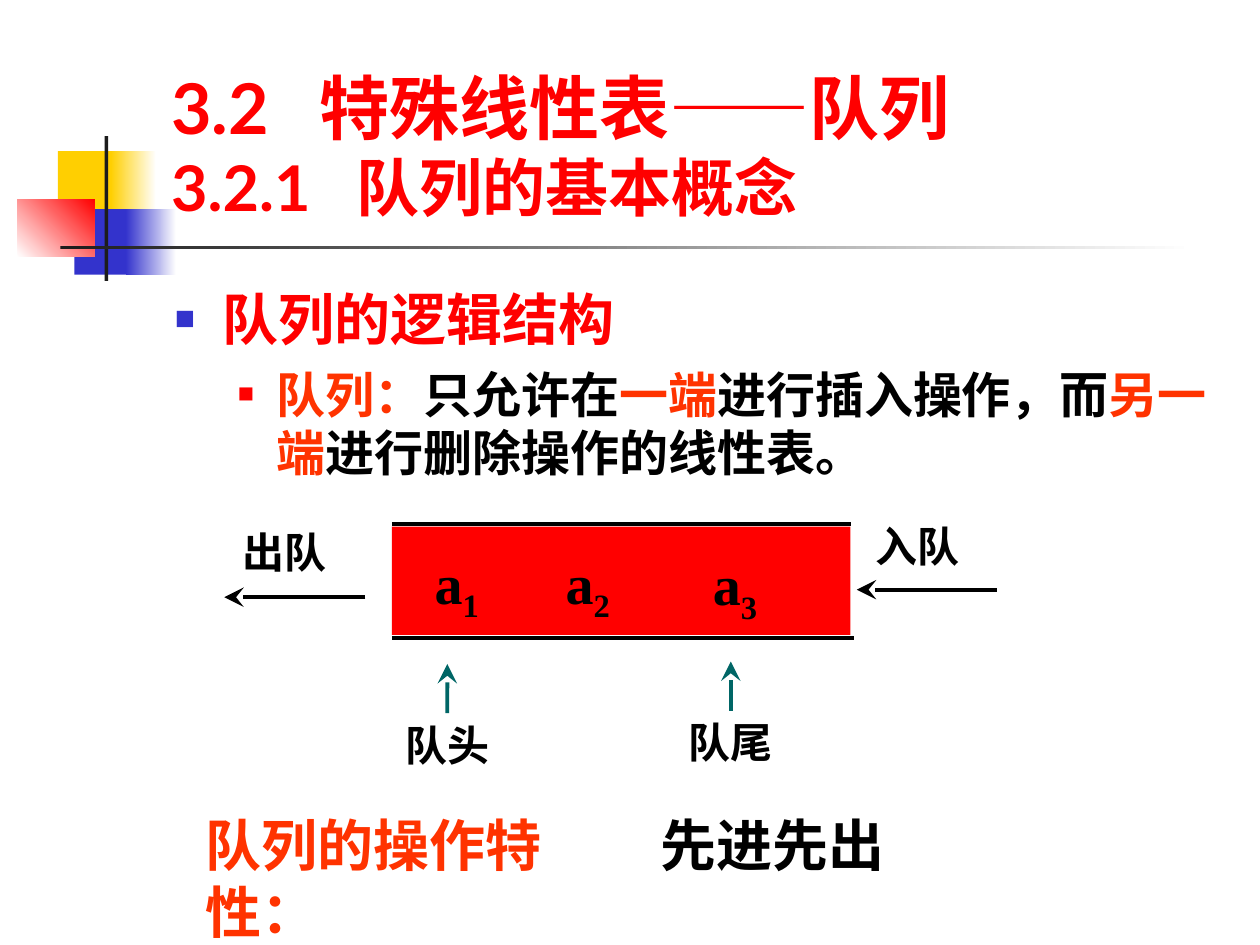
"""Build the slide on the basic concept of a queue."""
import pptx
import pptx.dml.color
import pptx.enum.shapes
import pptx.enum.text
import pptx.oxml
import pptx.oxml.ns
import pptx.util

Inches = pptx.util.Inches
Pt = pptx.util.Pt
RGBColor = pptx.dml.color.RGBColor
ANCHOR = pptx.enum.text.MSO_ANCHOR
ALIGN = pptx.enum.text.PP_ALIGN

RED = RGBColor(0xFF, 0x00, 0x00)
ORANGE = RGBColor(0xFF, 0x33, 0x00)
YELLOW = RGBColor(0xFF, 0xCF, 0x01)
BLUE = RGBColor(0x33, 0x33, 0xCC)
TEAL = RGBColor(0x00, 0x66, 0x66)
CHARCOAL = RGBColor(0x1C, 0x1C, 0x1C)
BLACK = RGBColor(0x00, 0x00, 0x00)
WHITE = RGBColor(0xFF, 0xFF, 0xFF)

SERIF = "Times New Roman"
NS = pptx.oxml.ns.nsdecls("a")


def add_block(slide, left, top, width, height, *colors, angle=0):
    """Add a rectangle with a solid fill or a two-colour gradient."""
    block = slide.shapes.add_shape(
        pptx.enum.shapes.MSO_SHAPE.RECTANGLE,
        Inches(left), Inches(top), Inches(width), Inches(height))
    block.shadow.inherit = False
    block.line.fill.background()
    if len(colors) == 1:
        block.fill.solid()
        block.fill.fore_color.rgb = colors[0]
    else:
        block.fill.gradient()
        block.fill.gradient_angle = angle
        for stop, color, position in zip(block.fill.gradient_stops, colors, (0, 1)):
            stop.color.rgb = color
            stop.position = position


def add_line(slide, start, end, color=BLACK, arrow=False):
    """Add a straight line, with a stealth arrowhead at its end if asked."""
    line = slide.shapes.add_connector(
        pptx.enum.shapes.MSO_CONNECTOR.STRAIGHT,
        *(Inches(value) for value in (*start, *end)))
    line.line.color.rgb = color
    line.line.width = Pt(2.25)
    if arrow:
        line.line._get_or_add_ln().append(pptx.oxml.parse_xml(
            f'<a:tailEnd {NS} type="stealth" w="lg" len="lg"/>'))
    line._element.spPr.append(pptx.oxml.parse_xml(f"<a:effectLst {NS}/>"))
    return line


def add_text_box(slide, left, top, width, height, wrap=True, anchor=ANCHOR.TOP):
    """Add an empty text box."""
    box = slide.shapes.add_textbox(
        Inches(left), Inches(top), Inches(width), Inches(height))
    box.text_frame.word_wrap = wrap
    box.text_frame.vertical_anchor = anchor
    return box


def add_run(paragraph, text, size, color, font):
    """Add a bold run to a paragraph."""
    run = paragraph.add_run()
    run.text = text
    run.font.size = Pt(size)
    run.font.bold = True
    run.font.name = font
    run.font.color.rgb = color
    return run


def add_label(slide, left, top, width, height, text, size=24, color=BLACK,
              font=SERIF):
    """Add a one-run label whose punctuation stays inside its box."""
    label = add_text_box(slide, left, top, width, height)
    paragraph = label.text_frame.paragraphs[0]
    paragraph._p.get_or_add_pPr().set("hangingPunct", "0")
    add_run(paragraph, text, size, color, font)
    return label


def add_element(slide, left, top, index):
    """Add a queue element such as a with a subscript index."""
    element = add_text_box(slide, left, top, 0.55, 0.71, wrap=False)
    paragraph = element.text_frame.paragraphs[0]
    add_run(paragraph, "a", 32, BLACK, SERIF)
    subscript = add_run(paragraph, index, 32, BLACK, SERIF)
    subscript.font._element.set("baseline", "-25000")


def add_pointer(slide, x, top, text):
    """Add a centred label with an arrow rising from its top."""
    label = add_label(slide, x - 0.43, top, 0.86, 0.5, text, font="Arial")
    label.text_frame.margin_left = label.text_frame.margin_right = 0
    label.text_frame.paragraphs[0].alignment = ALIGN.CENTER
    arrow = add_line(slide, (x, top), (x, top - 0.39), TEAL, arrow=True)
    arrow.begin_connect(label, 0)


def set_bullet(paragraph, color, percent, margin, hanging):
    """Give a paragraph a square bullet and a hanging indent."""
    properties = paragraph._p.get_or_add_pPr()
    properties.set("marL", str(Inches(margin)))
    properties.set("indent", str(-Inches(hanging)))
    for xml in (f'<a:buClr {NS}><a:srgbClr val="{color}"/></a:buClr>',
                f'<a:buSzPct {NS} val="{percent * 1000}"/>',
                f'<a:buFont {NS} typeface="Arial"/>',
                f'<a:buChar {NS} char="■"/>'):
        properties.append(pptx.oxml.parse_xml(xml))


def set_tab(paragraph, position):
    """Give a paragraph one left tab stop."""
    paragraph._p.get_or_add_pPr().append(pptx.oxml.parse_xml(
        f'<a:tabLst {NS}><a:tab pos="{Inches(position)}" algn="l"/></a:tabLst>'))


def add_decoration(slide):
    """Add the coloured squares and the rules beside the title."""
    add_block(slide, 0.46, 1.2, 0.48, 0.52, YELLOW)
    add_block(slide, 0.88, 1.2, 0.36, 0.52, YELLOW, WHITE)
    add_block(slide, 0.59, 1.66, 0.46, 0.52, BLUE)
    add_block(slide, 1, 1.66, 0.4, 0.52, BLUE, WHITE)
    add_block(slide, 0.14, 1.58, 0.61, 0.46, WHITE, RED, angle=45)
    add_block(slide, 0.83, 1.08, 0.03, 1.15, CHARCOAL)
    add_block(slide, 0.48, 1.95, 9, 0.03, CHARCOAL, WHITE)


def add_title(slide):
    """Add the section and subsection headings."""
    title = add_text_box(slide, 1.26, 0.23, 8.52, 1.6, anchor=ANCHOR.BOTTOM)
    section = title.text_frame.paragraphs[0]
    set_tab(section, 1.18)
    for text, font in (("3.2\t特殊线性表", "Lato"), ("——", "Arial"), ("队列", "Lato")):
        add_run(section, text, 40, RED, font)
    subsection = title.text_frame.add_paragraph()
    set_tab(subsection, 1.47)
    add_run(subsection, "3.2.1\t队列的基本概念", 36, RED, "Lato")


def add_definition(slide):
    """Add the bulleted definition of a queue."""
    body = add_text_box(slide, 1.29, 2.21, 8.5, 1.75)
    heading = body.text_frame.paragraphs[0]
    set_bullet(heading, BLUE, 60, 0.38, 0.38)
    add_run(heading, "队列的逻辑结构", 32, RED, "Lato")
    definition = body.text_frame.add_paragraph()
    definition.level = 1
    set_bullet(definition, RED, 55, 0.81, 0.31)
    definition.space_before = Pt(7)
    for text, color in (("队列：", ORANGE), ("只允许在", BLACK), ("一端", ORANGE),
                        ("进行插入操作，而", BLACK), ("另一端", ORANGE),
                        ("进行删除操作的线性表。", BLACK)):
        add_run(definition, text, 28, color, "Lato")


def add_queue(slide):
    """Add the diagram of the queue with its two ends."""
    add_pointer(slide, 5.8, 5.64, "队尾")
    add_pointer(slide, 3.55, 5.66, "队头")
    add_line(slide, (3.11, 4.16), (6.75, 4.16))
    add_line(slide, (3.11, 5.06), (6.78, 5.06))
    add_block(slide, 3.11, 4.18, 3.64, 0.86, RED)
    for left, top, index in ((3.35, 4.3, "1"), (4.39, 4.3, "2"), (5.56, 4.31, "3")):
        add_element(slide, left, top, index)
    add_line(slide, (7.91, 4.68), (6.8, 4.68), arrow=True)
    add_label(slide, 6.85, 4.08, 1.08, 0.5, "入队")
    add_line(slide, (2.9, 4.74), (1.78, 4.74), arrow=True)
    add_label(slide, 1.83, 4.13, 1, 0.5, "出队")


def main():
    """Build and save the presentation."""
    presentation = pptx.Presentation()
    presentation.slide_width = Inches(10)
    presentation.slide_height = Inches(7.5)
    slide = presentation.slides.add_slide(presentation.slide_layouts[6])
    add_decoration(slide)
    add_title(slide)
    add_definition(slide)
    add_queue(slide)
    add_label(slide, 1.53, 6.38, 3.51, 0.64, "队列的操作特性：", 32, ORANGE)
    add_label(slide, 5.14, 6.38, 2.25, 0.64, "先进先出", 32)
    presentation.save("out.pptx")


if __name__ == "__main__":
    main()
